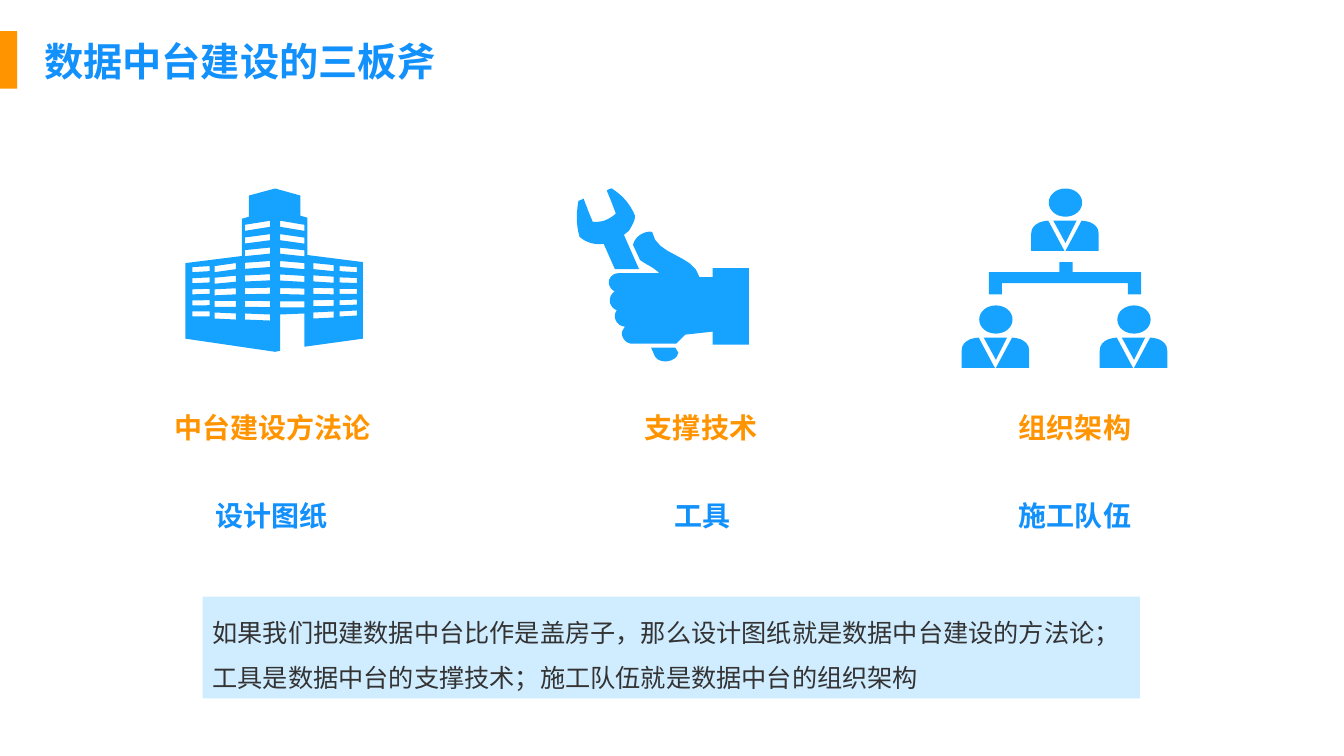
from dataclasses import dataclass

from lxml.etree import SubElement
from pptx import Presentation
from pptx.dml.color import RGBColor as RGB
from pptx.enum.shapes import MSO_SHAPE as SHAPE
from pptx.enum.text import MSO_ANCHOR as ANCHOR, PP_ALIGN as ALIGN
from pptx.oxml.ns import qn
from pptx.util import Inches, Pt


@dataclass(frozen=True)
class Theme:
    font: str = "Noto Sans CJK SC"
    blue: str = "1290FC"
    icon: str = "16A2FF"
    orange: str = "FF9400"
    pale: str = "D0ECFF"
    ink: str = "333333"
    title: int = 28
    label: int = 20
    body: int = 18


THEME = Theme()
CELL = Inches(0.1)  # grid cell: the slide is 133.3 columns by 75 rows
ICON_ROW, TOPIC_ROW, ROLE_ROW, LABEL_ROWS = 18.7, 40.2, 49, 4.4
FINE = 10  # freeform steps per icon unit
ICON_UNIT = CELL / 10
CURVE_STEPS = 8

# Contours: a pair is a corner, six numbers are a cubic curve.
TOWER = [(121, 66), (121, 29), (114, 27), (114, 7), (89, 0), (63, 7),
         (63, 28), (56, 30), (56, 67), (0, 74), (0, 149), (89, 162),
         (94, 161), (94, 125), (118, 124), (118, 157), (176, 149), (176, 73)]

# left x, right x, first and last top at left, the same at right, height, count
WINDOW_COLUMNS = [
    (7, 24, 78, 122, 77, 122, 5, 5),
    (29, 50, 77, 123, 74, 124, 6, 5),
    (59, 84, 36, 124, 32, 125, 6, 8),
    (94, 118, 32, 112, 36, 112, 6, 7),
    (127, 147, 74, 123, 76, 122, 6, 5),
    (153, 170, 77, 122, 78, 121, 5, 5),
]

FIST = [(76, 43), (67, 42, 59, 48, 57, 56), (64, 71),
        (69, 75, 79, 79, 83, 84), (43, 84), (38, 84, 33, 88, 33, 93),
        (33, 97, 36, 101, 39, 102), (36, 104, 34, 107, 34, 111),
        (34, 116, 37, 119, 41, 121), (40, 122, 39, 124, 39, 127),
        (39, 132, 44, 137, 49, 137), (48, 139, 46, 141, 46, 144),
        (46, 149, 51, 154, 56, 154), (100, 154), (109, 145), (136, 142),
        (136, 155), (172, 155), (172, 79), (136, 79), (136, 88), (123, 88),
        (117, 65, 80, 67, 76, 43)]
WRENCH = [(53, 42), (48, 46), (63, 80), (39, 80), (28, 55),
          (19, 56, 11, 54, 4, 48), (0, 34, 1, 22, 3, 12),
          (5, 12, 6, 11, 8, 10), (11, 18, 14, 26, 17, 33),
          (26, 34, 33, 31, 40, 25), (37, 17, 34, 9, 31, 2),
          (33, 1, 34, 0, 36, 0), (45, 6, 53, 13, 59, 27),
          (59, 32, 56, 37, 53, 42)]
WRENCH_END = [(75, 158), (79, 167), (83, 174, 100, 173, 102, 163), (99, 158)]

BRACKET = [(96, 73), (109, 73), (109, 83), (177, 83), (177, 105), (164, 105),
           (164, 94), (39, 94), (39, 105), (26, 105), (26, 83), (96, 83)]
PERSON = [
    [(0, 0), (9, 0, 16.5, 6, 16.5, 14), (16.5, 22, 9, 28, 0, 28),
     (-9, 28, -16.5, 22, -16.5, 14), (-16.5, 6, -9, 0, 0, 0)],
    [(-12, 32), (11, 32), (0, 54)],
    [(16, 32), (16, 32, 33, 32, 33, 45), (33, 62), (0, 62)],
    [(-17, 32), (-1, 62), (-34, 62), (-34, 45), (-34, 32, -17, 32, -17, 32)],
]
PEOPLE = [(102, 0), (33, 116), (170, 116)]


def cells(*lengths):
    return [round(n * CELL) for n in lengths]


def paint(s, color):
    s.fill.solid()
    s.fill.fore_color.rgb = RGB.from_string(color)
    s.line.fill.background()
    s.shadow.inherit = False


def write(s, text, size, color, bold=False, spacing=None, anchor=ANCHOR.TOP):
    tf = s.text_frame
    tf.word_wrap = True
    tf.vertical_anchor = anchor
    p = tf.paragraphs[0]
    p.alignment = ALIGN.LEFT
    if spacing:
        p.line_spacing = spacing
    r = p.add_run()
    r.text = text
    r.font.name = THEME.font
    r.font.size = Pt(size)
    r.font.bold = bold
    r.font.color.rgb = RGB.from_string(color)
    SubElement(r.font._element, qn("a:ea"), typeface=THEME.font)


def add_block(sp, box, color):
    s = sp.add_shape(SHAPE.RECTANGLE, *cells(*box))
    paint(s, color)
    return s


def add_label(sp, col, row, width, text, color):
    s = sp.add_textbox(*cells(col, row, width, LABEL_ROWS))
    write(s, text, THEME.label, color, bold=True)


def flatten(contour):
    """Turn corners and cubic curves into a list of fine points."""
    points = []
    for step in contour:
        if len(step) == 2:
            points.append(step)
            continue
        x0, y0 = points[-1]
        x1, y1, x2, y2, x3, y3 = step
        for i in range(1, CURVE_STEPS + 1):
            t = i / CURVE_STEPS
            a, b, c, d = (1-t)**3, 3*t*(1-t)**2, 3*t*t*(1-t), t**3
            points.append((a*x0 + b*x1 + c*x2 + d*x3,
                           a*y0 + b*y1 + c*y2 + d*y3))
    return [(x * FINE, y * FINE) for x, y in points]


def add_icon(sp, col, contours):
    first, *rest = map(flatten, contours)
    builder = sp.build_freeform(*first[0], scale=ICON_UNIT / FINE)
    builder.add_line_segments(first[1:], close=True)
    for points in rest:
        builder.move_to(*points[0])
        builder.add_line_segments(points[1:], close=True)
    paint(builder.convert_to_shape(*cells(col, ICON_ROW)), THEME.icon)


def windows():
    for x0, x1, left, left_end, right, right_end, h, count in WINDOW_COLUMNS:
        for i in range(count):
            share = i / (count - 1)
            yl = left + share * (left_end - left)
            yr = right + share * (right_end - right)
            yield [(x0, yl), (x1, yr), (x1, yr + h), (x0, yl + h)]


def shift(contour, dx, dy):
    return [tuple(v + (dy if i % 2 else dx) for i, v in enumerate(step))
            for step in contour]


def main():
    prs = Presentation()
    prs.slide_width, prs.slide_height = cells(133.33, 75)
    slide = prs.slides.add_slide(prs.slide_layouts[5])
    sp = slide.shapes

    title = sp.title
    title.left, title.top, title.width, title.height = cells(3.4, 3.2, 110.5, 5.7)
    write(title, "数据中台建设的三板斧", THEME.title, THEME.blue, bold=True,
          anchor=ANCHOR.MIDDLE)
    add_block(sp, (0, 3.1, 1.7, 5.7), THEME.orange)

    note = add_block(sp, (20.1, 59.2, 93, 10.1), THEME.pale)
    write(note, "如果我们把建数据中台比作是盖房子，那么设计图纸就是数据中台建设的方法论；"
          "工具是数据中台的支撑技术；施工队伍就是数据中台的组织架构",
          THEME.body, THEME.ink, spacing=1.5, anchor=ANCHOR.MIDDLE)

    people = [shift(part, *place) for place in PEOPLE for part in PERSON]
    pillars = [
        (18.4, [TOWER, *windows()],
         (16.3, 21.7, "中台建设方法论"), (20.4, 19.4, "设计图纸")),
        (57.1, [FIST, WRENCH, WRENCH_END],
         (63, 14.2, "支撑技术"), (65.9, 11.3, "工具")),
        (95.5, [BRACKET, *people],
         (100.1, 19.4, "组织架构"), (100.1, 19.4, "施工队伍")),
    ]
    for icon_col, contours, topic, role in pillars:
        add_icon(sp, icon_col, contours)
        for row, color, (col, width, text) in (
                (TOPIC_ROW, THEME.orange, topic), (ROLE_ROW, THEME.blue, role)):
            add_label(sp, col, row, width, text, color)

    prs.save("out.pptx")


if __name__ == "__main__":
    main()
